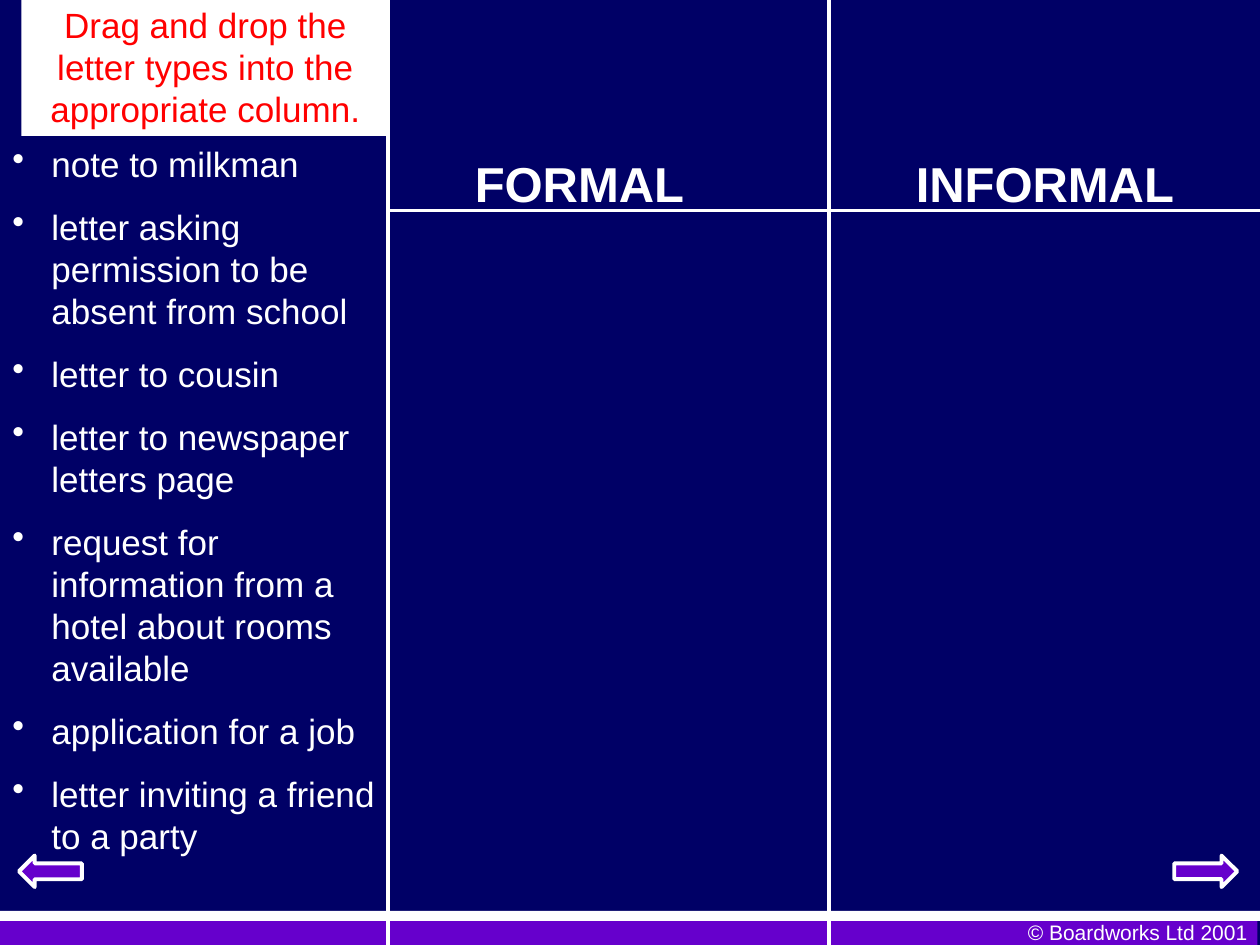
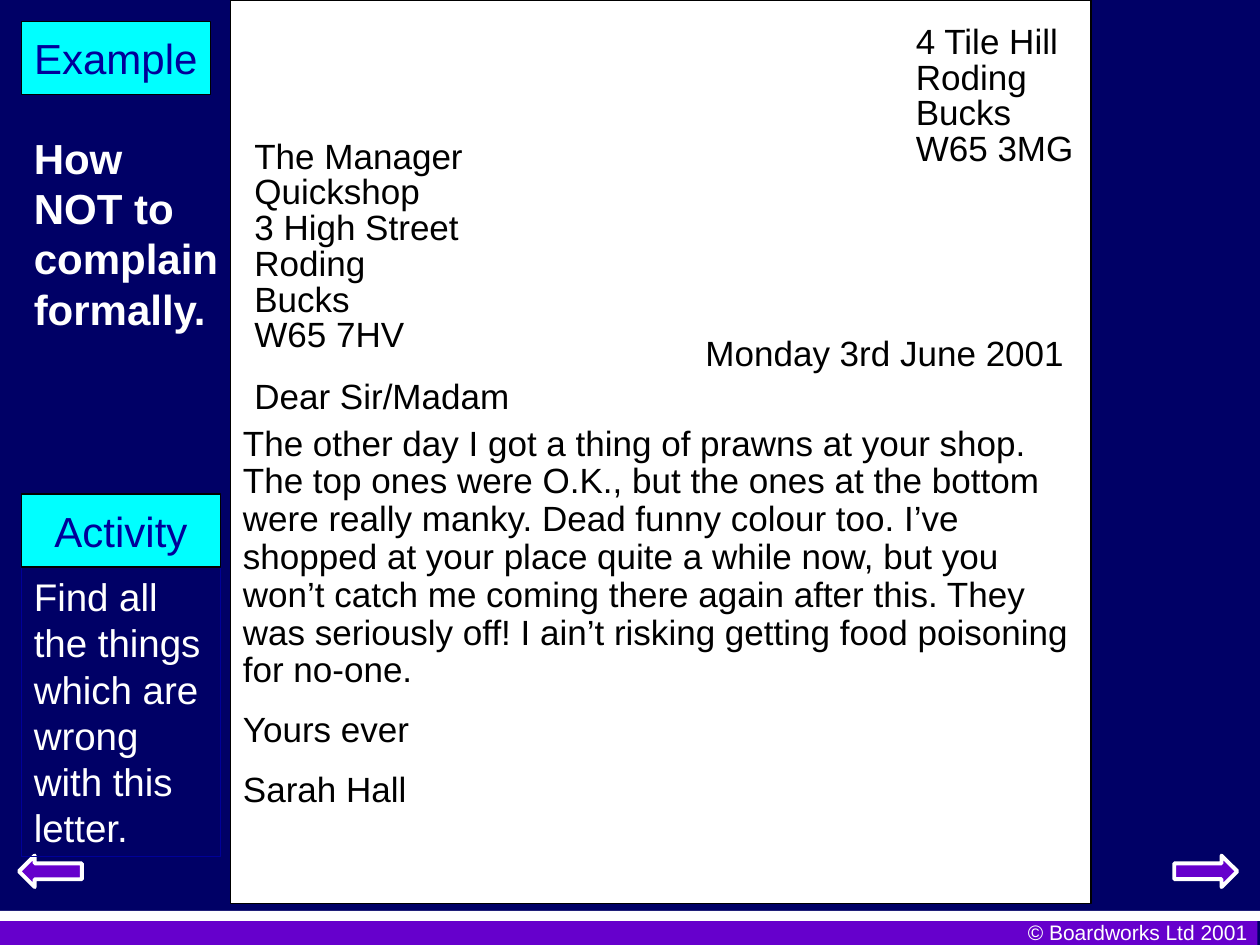
"""Builds two slides on formal and informal letters."""
from lxml import etree
from pptx import Presentation
from pptx.dml.color import RGBColor
from pptx.enum.shapes import MSO_CONNECTOR, MSO_SHAPE
from pptx.enum.text import MSO_ANCHOR, MSO_AUTO_SIZE, PP_ALIGN
from pptx.oxml.ns import qn
from pptx.util import Inches, Pt

NAVY = RGBColor(0x00, 0x00, 0x66)
BLUE = RGBColor(0x00, 0x00, 0x99)
PURPLE = RGBColor(0x66, 0x00, 0xCC)
CYAN = RGBColor(0x00, 0xFF, 0xFF)
RED = RGBColor(0xFF, 0x00, 0x00)
WHITE = RGBColor(0xFF, 0xFF, 0xFF)
BLACK = RGBColor(0x00, 0x00, 0x00)
FONT = "Arial"

RECT, ARROW = MSO_SHAPE.RECTANGLE, MSO_SHAPE.RIGHT_ARROW
STRAIGHT = MSO_CONNECTOR.STRAIGHT
TOP, MIDDLE = MSO_ANCHOR.TOP, MSO_ANCHOR.MIDDLE
LEFT, CENTER, RIGHT = PP_ALIGN.LEFT, PP_ALIGN.CENTER, PP_ALIGN.RIGHT
GROW = MSO_AUTO_SIZE.SHAPE_TO_FIT_TEXT

LETTER_TYPES = [
    ("note to milkman", 1, 2.92),
    ("letter asking permission to be absent from school", 3, 3.08),
    ("letter to cousin", 1, 3.08),
    ("letter to newspaper letters page", 2, 3.08),
    ("request for information from a hotel about rooms available", 4, 3.17),
    ("application for a job", 1, 3.17),
    ("letter inviting a friend to a party", 2, 3.17),
]
SENDER = ["4 Tile Hill", "Roding", "Bucks", "W65 3MG"]
RECIPIENT = ["The Manager", "Quickshop", "3 High Street", "Roding", "Bucks", "W65 7HV"]
LETTER = [
    "The other day I got a thing of prawns at your shop. The top ones were O.K., "
    "but the ones at the bottom were really manky. Dead funny colour too. I’ve "
    "shopped at your place quite a while now, but you won’t catch me coming there "
    "again after this. They was seriously off! I ain’t risking getting food "
    "poisoning for no-one.",
    "Yours ever",
    "Sarah Hall",
]


def add_box(s, kind, left, top, width, height, fill=None, line=None, weight=0.75):
    """Add a preset shape with an optional fill and outline."""
    sp = s.shapes.add_shape(kind, Inches(left), Inches(top), Inches(width), Inches(height))
    sp.shadow.inherit = False
    if fill is None:
        sp.fill.background()
    else:
        sp.fill.solid()
        sp.fill.fore_color.rgb = fill
    if line is None:
        sp.line.fill.background()
    else:
        sp.line.color.rgb = line
        sp.line.width = Pt(weight)
    return sp


def write(sp, lines, size=20, color=BLACK, bold=False, align=LEFT, spacing=None, before=0):
    """Write paragraphs into a shape that grows with its text."""
    tf = sp.text_frame
    tf.word_wrap = True
    tf.auto_size = GROW
    tf.vertical_anchor = TOP
    tf.text = "\n".join(lines)
    for i, p in enumerate(tf.paragraphs):
        p.alignment = align
        p.line_spacing = spacing
        p.space_before = Pt(before if i else 0)
        for r in p.runs:
            r.font.name = FONT
            r.font.size = Pt(size)
            r.font.bold = bold
            r.font.color.rgb = color
    return tf


def add_text(s, left, top, width, height, lines, **style):
    """Add a text box with styled paragraphs."""
    sp = s.shapes.add_textbox(Inches(left), Inches(top), Inches(width), Inches(height))
    return write(sp, lines, **style)


def add_bullet(s, left, top, width, height, text):
    """Add a text box holding one bulleted item."""
    tf = add_text(s, left, top, width, height, [text], color=WHITE)
    pPr = tf.paragraphs[0]._p.get_or_add_pPr()
    pPr.set("marL", str(Inches(0.31)))
    pPr.set("indent", str(-Inches(0.31)))
    etree.SubElement(pPr, qn("a:buChar")).set("char", "•")


def add_rule(s, x1, y1, x2, y2):
    """Add a straight white column rule."""
    line = s.shapes.add_connector(STRAIGHT, Inches(x1), Inches(y1), Inches(x2), Inches(y2))
    line.line.color.rgb = WHITE
    line.line.width = Pt(2)
    etree.SubElement(line._element.spPr, qn("a:effectLst"))


def add_label(s, top, width, text):
    """Add a cyan section label."""
    sp = add_box(s, RECT, 0.17, top, width, 0.58, CYAN, BLACK)
    tf = write(sp, [text], size=24, color=BLUE, align=CENTER)
    tf.auto_size = MSO_AUTO_SIZE.NONE
    tf.word_wrap = False
    tf.vertical_anchor = MIDDLE


def new_slide(prs):
    """Add a slide with the shared background, footer and arrows."""
    s = prs.slides.add_slide(prs.slide_layouts[6])
    s.background.fill.solid()
    s.background.fill.fore_color.rgb = NAVY
    add_box(s, RECT, -0.02, 7.31, 10, 0.19, PURPLE)
    add_text(s, 7.67, 7.25, 2.33, 0.3, ["© Boardworks Ltd 2001"],
             size=12, color=WHITE, align=RIGHT)
    add_box(s, RECT, 0, 7.23, 10, 0.08, WHITE)
    for left, rotation in ((9.32, 0), (0.15, 180)):
        arrow = add_box(s, ARROW, left, 6.79, 0.5, 0.25, PURPLE, WHITE, 2.25)
        arrow.rotation = rotation
    return s


def build_sorting_slide(prs):
    """Build the exercise that sorts letter types into two columns."""
    s = new_slide(prs)
    for left, width, heading in ((3.67, 1.92, "FORMAL"), (7.17, 2.67, "INFORMAL")):
        add_text(s, left, 1.17, width, 0.57, [heading], size=28, color=WHITE, bold=True)
    for x in (6.58, 3.08):
        add_rule(s, x, 0, x, 7.5)
    add_rule(s, 3.08, 1.67, 10, 1.67)
    top = 1.08
    for text, line_count, width in LETTER_TYPES:
        step = 0.5 + (line_count - 1) / 3
        add_bullet(s, 0, top, width, step - 0.06, text)
        top += step
    task = add_box(s, RECT, 0.17, -0.02, 2.92, 1.1, WHITE)
    write(task, ["Drag and drop the letter types into the appropriate column."],
          color=RED, align=CENTER)


def build_complaint_slide(prs):
    """Build the example complaint letter with its activity."""
    s = new_slide(prs)
    add_label(s, 0.17, 1.5, "Example")
    add_box(s, RECT, 1.83, 0, 6.83, 7.17, WHITE, BLACK)
    add_text(s, 7.17, 0.17, 1.5, 1.22, SENDER, spacing=0.8, before=1.2)
    add_text(s, 1.92, 1.08, 2.25, 1.79, RECIPIENT, spacing=0.8, before=1.2)
    add_text(s, 5.5, 2.58, 3.08, 0.44, ["Monday 3rd June 2001"])
    add_text(s, 1.92, 2.92, 2.25, 0.44, ["Dear Sir/Madam"])
    add_text(s, 1.83, 3.33, 6.83, 3.15, LETTER, spacing=0.9, before=12.5)
    add_text(s, 0.17, 1, 1.67, 1.7, ["How NOT to complain formally."],
             size=24, color=WHITE, bold=True)
    activity = add_box(s, RECT, 0.17, 4.5, 1.58, 2.3, line=BLUE)
    write(activity, ["Find all the things which are wrong with this letter."],
          size=22, color=WHITE)
    add_label(s, 3.92, 1.58, "Activity")


def main():
    """Create the presentation and save it."""
    prs = Presentation()
    prs.slide_width, prs.slide_height = Inches(10), Inches(7.5)
    build_sorting_slide(prs)
    build_complaint_slide(prs)
    prs.save("out.pptx")


if __name__ == "__main__":
    main()
